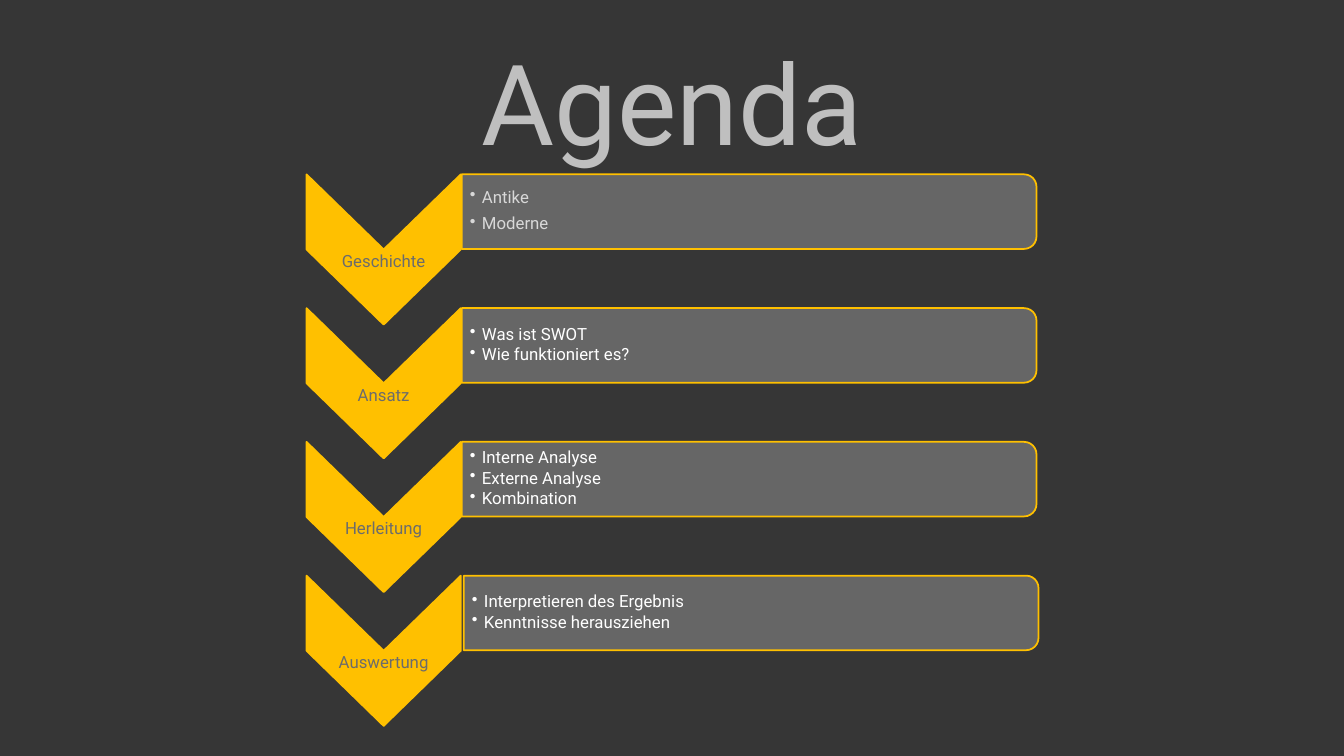
"""Build the agenda slide with four chevron steps and their topic panels."""
from lxml.etree import SubElement
from pptx import Presentation
from pptx.dml.color import RGBColor
from pptx.enum.shapes import MSO_SHAPE as Shape
from pptx.enum.text import MSO_ANCHOR as Anchor, PP_ALIGN as Align
from pptx.oxml import parse_xml
from pptx.oxml.ns import nsdecls, qn
from pptx.util import Inches, Pt

CHARCOAL = RGBColor(0x36, 0x36, 0x36)
GREY = RGBColor(0x6C, 0x6C, 0x6C)
SILVER = RGBColor(0xBF, 0xBF, 0xBF)
LIGHT = RGBColor(0xD8, 0xD8, 0xD8)
WHITE = RGBColor(0xFF, 0xFF, 0xFF)
AMBER = RGBColor(0xFF, 0xC0, 0x00)

STEP_TOP = 1.71
STEP_PITCH = 1.327
TIGHT = 1.8
LOOSE = 6

STEPS = [
    ("Geschichte", ["Antike", "Moderne"], LIGHT, LOOSE, 0),
    ("Ansatz", ["Was ist SWOT", "Wie funktioniert es?"], WHITE, TIGHT, 0),
    ("Herleitung", ["Interne Analyse", "Externe Analyse", "Kombination"], WHITE, TIGHT, 0),
    ("Auswertung", ["Interpretieren des Ergebnis", "Kenntnisse herausziehen"], WHITE, TIGHT, 0.02),
]


def set_values(target, values):
    for name, value in values.items():
        setattr(target, name, value)


def set_font(font, size, color):
    set_values(font, {"name": "Roboto", "size": Pt(size)})
    font.color.rgb = color


def add_title(page):
    title = page.shapes.title
    set_values(title, {"left": Inches(1.01), "top": Inches(0.47),
                       "width": Inches(11.32), "height": Inches(1.06)})
    title.text_frame.vertical_anchor = Anchor.MIDDLE
    para = title.text_frame.paragraphs[0]
    para.alignment = Align.CENTER
    span = para.add_run()
    span.text = "Agenda"
    set_font(span.font, 80, SILVER)
    props = span._r.get_or_add_rPr()
    props.insert(0, parse_xml(
        f'<a:ln {nsdecls("a")} w="9525"><a:solidFill><a:srgbClr val="FFFFFF">'
        '<a:alpha val="10000"/></a:srgbClr></a:solidFill></a:ln>'))
    props.find(qn("a:solidFill")).addnext(parse_xml(
        f'<a:effectLst {nsdecls("a")}><a:outerShdw blurRad="38100" dist="38100" dir="2700000">'
        '<a:srgbClr val="000000"><a:alpha val="45000"/></a:srgbClr></a:outerShdw></a:effectLst>'))


def add_turned_shape(group, kind, left, top, width, height, fill, opacity=100):
    shape = group.shapes.add_shape(kind, Inches(left), Inches(top), Inches(width), Inches(height))
    shape.rotation = 90
    shape.shadow.inherit = False
    shape.fill.solid()
    shape.fill.fore_color.rgb = fill
    shape.line.color.rgb = AMBER
    shape.line.width = Pt(1.25)
    if opacity < 100:
        color = shape._element.spPr.find(qn("a:solidFill"))[0]
        SubElement(color, qn("a:alpha")).set("val", str(opacity * 1000))


def add_text_box(group, left, top, width, height, inset):
    box = group.shapes.add_textbox(Inches(left), Inches(top), Inches(width), Inches(height))
    frame = box.text_frame
    set_values(frame, {"word_wrap": True, "vertical_anchor": Anchor.MIDDLE,
                       "margin_left": Inches(inset), "margin_right": Inches(0.01),
                       "margin_top": Inches(0.01), "margin_bottom": Inches(0.01)})
    return frame


def add_bullet(para):
    props = para._p.get_or_add_pPr()
    props.set("marL", str(Inches(0.12)))
    props.set("indent", str(-Inches(0.12)))
    SubElement(props, qn("a:buChar")).set("char", "•")


def add_label(group, top, label):
    para = add_text_box(group, 3.04, top + 0.13, 1.53, 1.49, 0.01).paragraphs[0]
    para.text = label
    para.alignment = Align.CENTER
    set_font(para.runs[0].font, 12, GREY)


def add_topics(group, left, top, topics, color, gap):
    frame = add_text_box(group, left, top, 5.67, 0.67, 0.09)
    for index, topic in enumerate(topics):
        para = frame.add_paragraph() if index else frame.paragraphs[0]
        para.text = topic
        add_bullet(para)
        para.line_spacing = 0.9
        if index:
            para.space_before = Pt(gap)
        set_font(para.runs[0].font, 12, color)


def add_step(group, top, label, topics, color, gap, shift):
    add_turned_shape(group, Shape.CHEVRON, 3.06, top, 1.49, 1.53, AMBER)
    add_label(group, top, label)
    add_turned_shape(group, Shape.ROUND_2_SAME_RECTANGLE, 7.06 + shift, top - 2.46,
                     0.74, 5.7, GREY, 90)
    add_topics(group, 4.57 + shift, top + 0.05, topics, color, gap)


def main():
    deck = Presentation()
    set_values(deck, {"slide_width": Inches(13.33), "slide_height": Inches(7.5)})
    page = deck.slides.add_slide(deck.slide_layouts[5])
    page.background.fill.solid()
    page.background.fill.fore_color.rgb = CHARCOAL
    add_title(page)
    group = page.shapes.add_group_shape()
    for index, step in enumerate(STEPS):
        add_step(group, STEP_TOP + index * STEP_PITCH, *step)
    deck.save("out.pptx")


if __name__ == "__main__":
    main()
